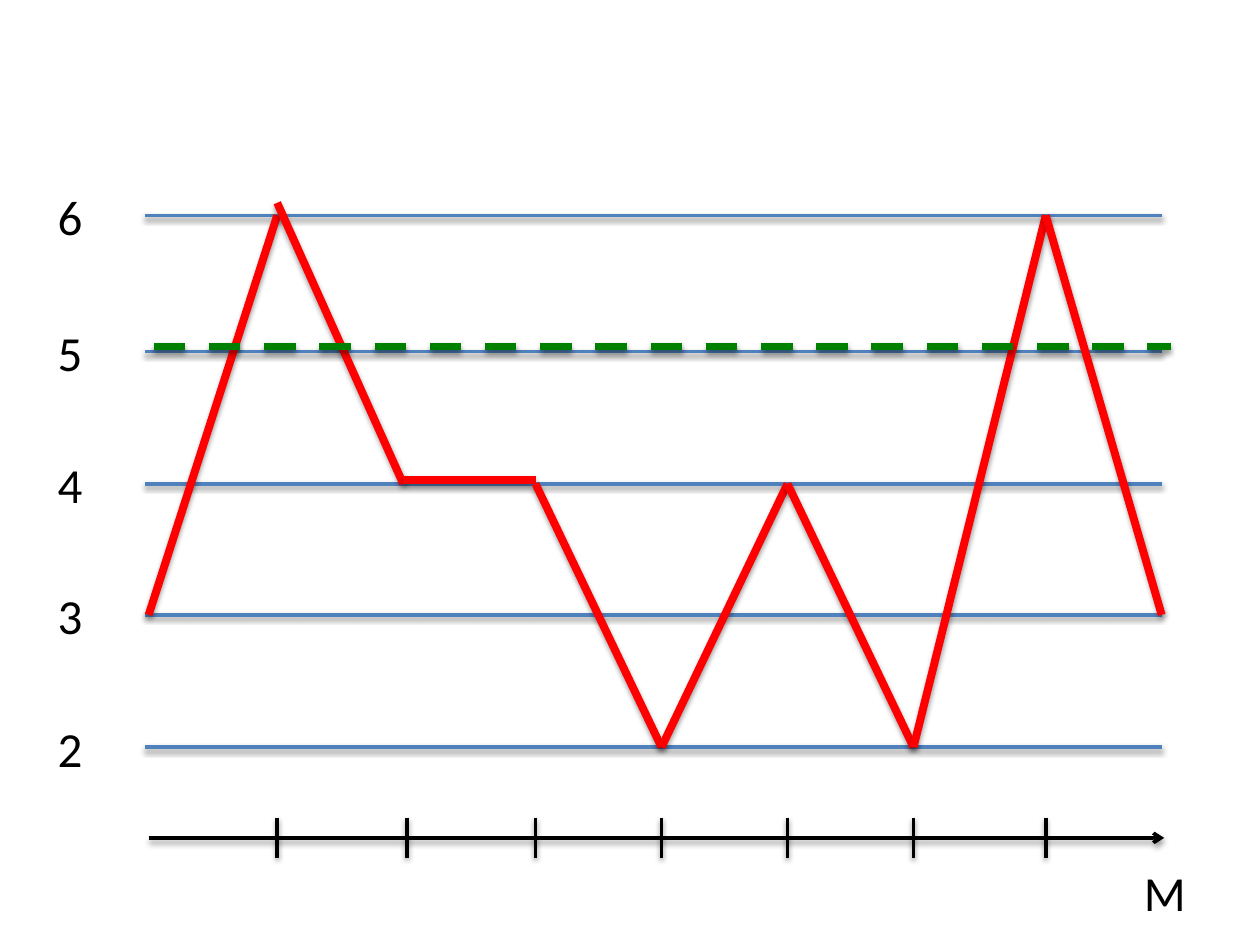
"""Line graph of levels 2 to 6 along an axis M, with a dashed threshold."""
from dataclasses import dataclass

from lxml import etree
from pptx import Presentation
from pptx.dml.color import RGBColor
from pptx.enum import dml, shapes, text
from pptx.oxml import parse_xml
from pptx.oxml.ns import qn
from pptx.util import Inches, Pt

BLUE, BLACK, RED, GREEN = "4F81BD", "000000", "FF0000", "008000"
LEVELS = {2: 5.93, 3: 4.88, 4: 3.84, 5: 2.79, 6: 1.71}
TICKS = (2.2, 3.23, 4.25, 5.25, 6.25, 7.25, 8.3)
AXIS_Y, TICK_HALF = 6.65, 0.16
SHADOW = (
    '<a:effectLst xmlns:a="http://schemas.openxmlformats.org/drawingml/2006/main">'
    '<a:outerShdw blurRad="39370" dist="20320" dir="5400000" rotWithShape="0">'
    '<a:srgbClr val="000000"><a:alpha val="38000"/></a:srgbClr>'
    "</a:outerShdw></a:effectLst>"
)


@dataclass(frozen=True)
class Stroke:
    x1: float
    y1: float
    x2: float
    y2: float
    color: str
    width: float = 2
    dashed: bool = False
    arrow: bool = False


@dataclass(frozen=True)
class Label:
    wording: str
    left: float
    top: float
    width: float = 0.4
    height: float = 0.57


def rgb(value: str) -> RGBColor:
    return RGBColor.from_string(value)


def draw_stroke(slide, stroke: Stroke) -> None:
    ends = map(Inches, (stroke.x1, stroke.y1, stroke.x2, stroke.y2))
    connector = slide.shapes.add_connector(shapes.MSO_CONNECTOR.STRAIGHT, *ends)
    line = connector.line
    line.color.rgb = rgb(stroke.color)
    line.width = Pt(stroke.width)
    if stroke.dashed:
        line.dash_style = dml.MSO_LINE.DASH
    properties = connector._element.spPr
    if stroke.arrow:
        outline = properties.find(qn("a:ln"))
        etree.SubElement(outline, qn("a:tailEnd"), type="arrow")
    properties.append(parse_xml(SHADOW))


def draw_label(slide, label: Label) -> None:
    place = map(Inches, (label.left, label.top, label.width, label.height))
    frame = slide.shapes.add_textbox(*place).text_frame
    frame_format = {"word_wrap": False, "auto_size": text.MSO_AUTO_SIZE.SHAPE_TO_FIT_TEXT}
    for name, value in frame_format.items():
        setattr(frame, name, value)
    run = frame.paragraphs[0].add_run()
    run.text = label.wording
    for name, value in {"name": "Calibri", "size": Pt(28)}.items():
        setattr(run.font, name, value)
    run.font.color.rgb = rgb(BLACK)


def graph_strokes() -> list[Stroke]:
    grid = [Stroke(1.15, y, 9.22, y, BLUE) for y in LEVELS.values()]
    axis = Stroke(1.18, AXIS_Y, 9.24, AXIS_Y, BLACK, arrow=True)
    ticks = [Stroke(x, AXIS_Y - TICK_HALF, x, AXIS_Y + TICK_HALF, BLACK) for x in TICKS]
    opening = [
        (1.18, LEVELS[3], 2.2, LEVELS[6]),
        (2.2, 1.61, 3.2, LEVELS[4]),
        (3.2, 3.81, 4.25, 3.81),
    ]
    turns = [(4.25, 4), (5.25, 2), (6.25, 4), (7.25, 2), (8.3, 6), (9.22, 3)]
    closing = [
        (x1, LEVELS[start], x2, LEVELS[end])
        for (x1, start), (x2, end) in zip(turns, turns[1:])
    ]
    curve = [Stroke(*segment, RED, 4.5) for segment in opening + closing]
    threshold = Stroke(1.22, 2.75, 9.29, 2.75, GREEN, 4.5, dashed=True)
    return [*grid, axis, *ticks, *curve, threshold]


def main() -> None:
    deck = Presentation()
    deck.slide_width, deck.slide_height = Inches(10), Inches(7.5)
    slide = deck.slides.add_slide(deck.slide_layouts[6])
    labels = [Label(str(level), 0.36, round(y - 0.28, 2)) for level, y in LEVELS.items()]
    for label in [*labels, Label("M", 8.98, 6.8, 0.54)]:
        draw_label(slide, label)
    for stroke in graph_strokes():
        draw_stroke(slide, stroke)
    deck.save("out.pptx")


main()
